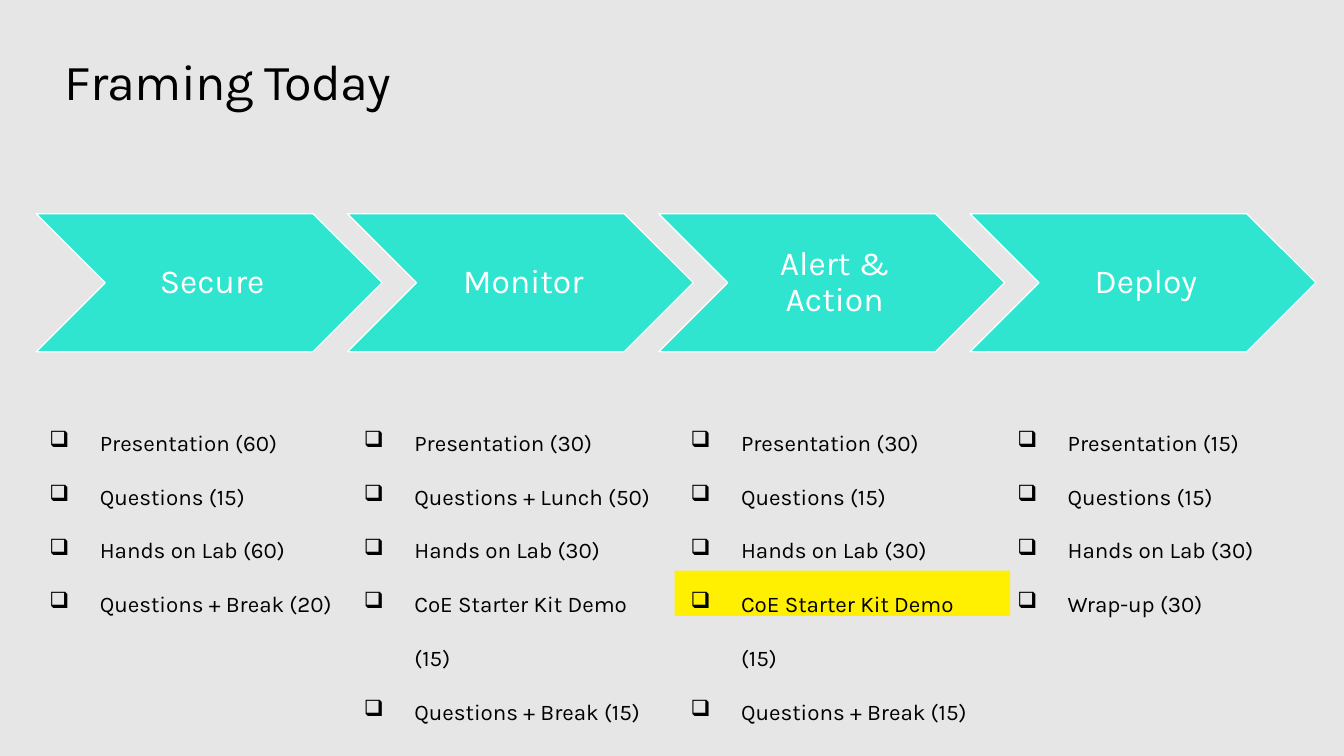
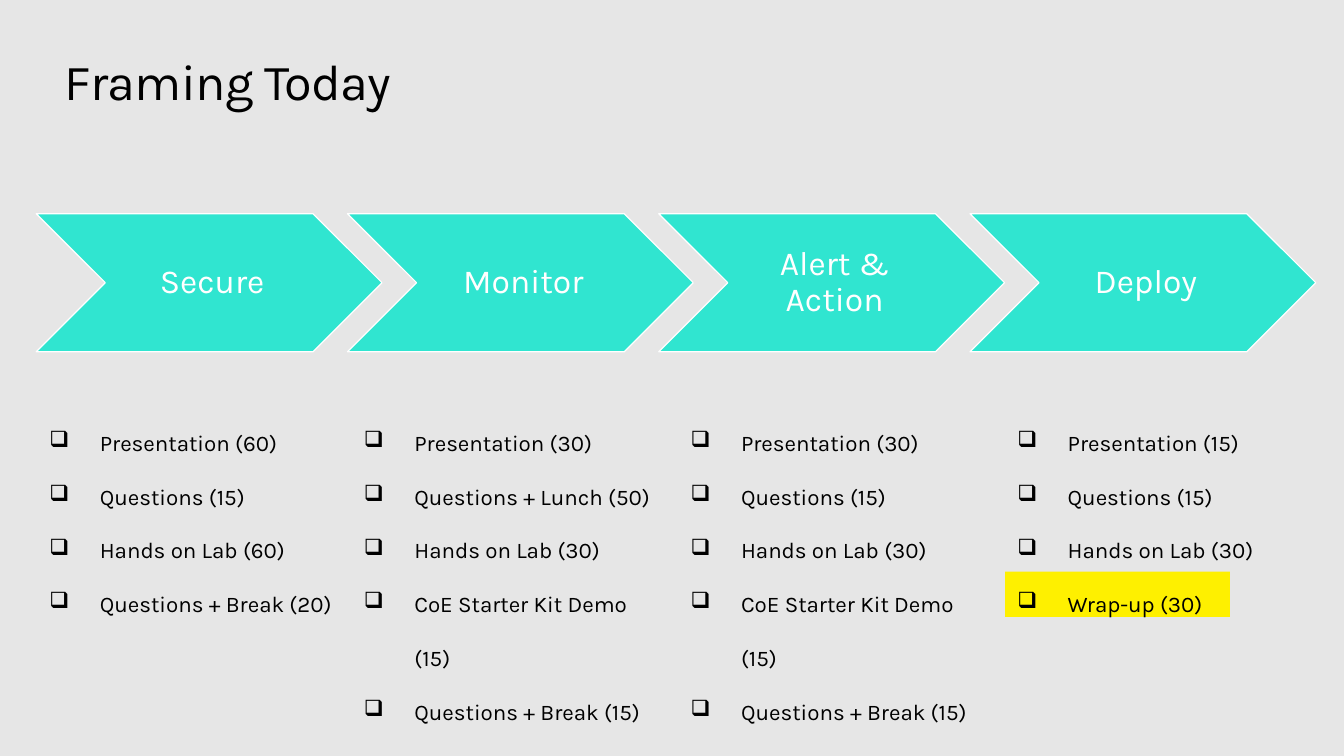
from pptx import Presentation
from pptx.dml.color import RGBColor
from pptx.enum.shapes import MSO_SHAPE
from pptx.enum.text import MSO_ANCHOR, MSO_AUTO_SIZE, PP_ALIGN
from pptx.oxml.ns import qn
from pptx.util import Inches, Pt
from lxml import etree

CHEVRON, RECTANGLE = MSO_SHAPE.CHEVRON, MSO_SHAPE.RECTANGLE
TOP, MIDDLE = MSO_ANCHOR.TOP, MSO_ANCHOR.MIDDLE
LEFT, CENTER = PP_ALIGN.LEFT, PP_ALIGN.CENTER
GROW = MSO_AUTO_SIZE.SHAPE_TO_FIT_TEXT

GREY = RGBColor(0xE6, 0xE6, 0xE6)
TEAL = RGBColor(0x30, 0xE5, 0xD0)
YELLOW = RGBColor(0xFE, 0xF0, 0x00)
BLACK = RGBColor(0, 0, 0)
WHITE = RGBColor(255, 255, 255)
FONT = "Karla"
TITLE_ONLY = 5

# Each stage: name, checklist left, checklist width, checklist items
STAGES = [
    ("Secure", 0.49, 2.89,
     ["Presentation (60)", "Questions (15)", "Hands on Lab (60)",
      "Questions + Break (20)"]),
    ("Monitor", 3.61, 3.01,
     ["Presentation (30)", "Questions + Lunch (50)", "Hands on Lab (30)",
      "CoE Starter Kit Demo (15)", "Questions + Break (15)"]),
    ("Alert & Action", 6.85, 3.01,
     ["Presentation (30)", "Questions (15)", "Hands on Lab (30)",
      "CoE Starter Kit Demo (15)", "Questions + Break (15)"]),
    ("Deploy", 10.09, 2.6,
     ["Presentation (15)", "Questions (15)", "Hands on Lab (30)",
      "Wrap-up (30)"]),
]

# Box of the highlighted agenda item on each slide
HIGHLIGHTS = [(6.69, 5.66, 3.33, 0.45), (9.97, 5.67, 2.23, 0.45)]


def set_frame(frame, anchor, insets=(0, 0, 0, 0)):
    frame.word_wrap = True
    frame.vertical_anchor = anchor
    (frame.margin_left, frame.margin_top,
     frame.margin_right, frame.margin_bottom) = map(Inches, insets)


def add_run(paragraph, text, size, color):
    run = paragraph.add_run()
    run.text = text
    run.font.name = FONT
    run.font.size = Pt(size)
    run.font.color.rgb = color
    return run


def add_block(shapes, kind, box, fill):
    block = shapes.add_shape(kind, *map(Inches, box))
    block.shadow.inherit = False
    block.fill.solid()
    block.fill.fore_color.rgb = fill
    block.line.fill.background()
    return block


def place_title(slide, text, box):
    title = slide.shapes.title
    title.left, title.top, title.width, title.height = map(Inches, box)
    frame = title.text_frame
    set_frame(frame, TOP)
    frame.auto_size = GROW
    paragraph = frame.paragraphs[0]
    paragraph.alignment = LEFT
    run = add_run(paragraph, text, 36, BLACK)
    run.font._element.set("spc", "-50")


def add_stage_arrows(slide, names, left, top, width, height):
    """Row of chevrons, each overlapping the next box by a tenth."""
    arrows = slide.shapes.add_group_shape().shapes
    for index, name in enumerate(names):
        box = (left + index * 0.9 * width, top, width, height)
        arrow = add_block(arrows, CHEVRON, box, TEAL)
        arrow.line.color.rgb = WHITE
        arrow.line.width = Pt(0.85)
        set_frame(arrow.text_frame, MIDDLE, (0.1, 0.04, 0.04, 0.04))
        paragraph = arrow.text_frame.paragraphs[0]
        paragraph.alignment = CENTER
        paragraph.line_spacing = 0.9
        add_run(paragraph, name, 24, WHITE)


def add_checklist(slide, items, left, top, width):
    height = 0.54 * len(items) - 0.09
    checklist = slide.shapes.add_textbox(*map(Inches, (left, top, width, height)))
    frame = checklist.text_frame
    set_frame(frame, TOP)
    frame.auto_size = GROW
    for index, item in enumerate(items):
        paragraph = frame.add_paragraph() if index else frame.paragraphs[0]
        properties = paragraph._p.get_or_add_pPr()
        properties.set("marL", str(Inches(0.5)))
        properties.set("indent", str(-Inches(0.5)))
        etree.SubElement(properties, qn("a:buChar")).set("char", "❑")
        paragraph.line_spacing = 2.0
        add_run(paragraph, item, 16, BLACK)


def add_agenda_slide(deck, highlight):
    slide = deck.slides.add_slide(deck.slide_layouts[TITLE_ONLY])
    add_block(slide.shapes, RECTANGLE, highlight, YELLOW)
    place_title(slide, "Framing Today", (0.64, 0.5, 12.05, 0.61))
    add_stage_arrows(slide, [stage[0] for stage in STAGES], 0.36, 2.12, 3.43, 1.37)
    for _, left, width, items in STAGES:
        add_checklist(slide, items, left, 3.99, width)


def main():
    deck = Presentation()
    deck.slide_width, deck.slide_height = Inches(13.33), Inches(7.5)
    # Shared background
    backdrop = deck.slide_master.background.fill
    backdrop.solid()
    backdrop.fore_color.rgb = GREY
    for highlight in HIGHLIGHTS:
        add_agenda_slide(deck, highlight)
    deck.save("out.pptx")


if __name__ == "__main__":
    main()
